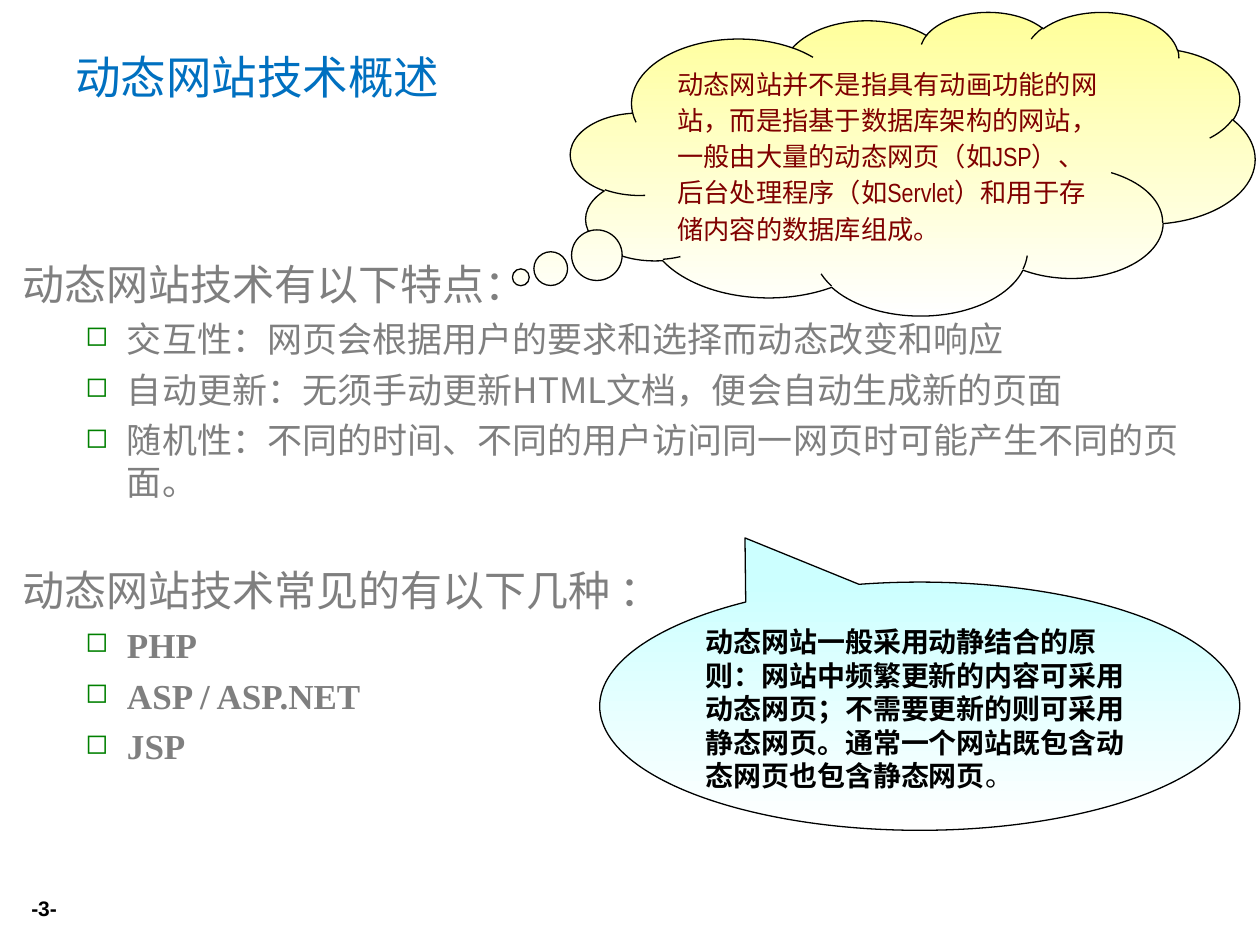
"""Build a slide on dynamic website technology with two callouts."""
from dataclasses import dataclass

from lxml.etree import SubElement
from pptx import Presentation
from pptx.dml.color import RGBColor
from pptx.enum.shapes import MSO_SHAPE
from pptx.enum.text import MSO_ANCHOR, PP_ALIGN
from pptx.oxml.ns import qn
from pptx.util import Inches, Pt


@dataclass(frozen=True)
class Theme:
    """Colours, fonts and type sizes of the slide."""
    title: str = "0070C0"
    body: str = "7F7F7F"
    bullet: str = "008000"
    cloud_text: str = "800000"
    ink: str = "000000"
    cloud_top: str = "FFFF99"
    ellipse_top: str = "CCFFFF"
    paper: str = "FFFFFF"
    cjk: str = "Noto Sans CJK SC"
    serif: str = "Times New Roman"
    sans: str = "Arial"
    narrow: str = "Arial Narrow"
    title_size: int = 26
    heading_size: int = 24
    item_size: int = 20
    cloud_size: int = 15
    ellipse_size: int = 16
    number_size: int = 12


THEME = Theme()
WIDTH, HEIGHT = 10, 7.5

TITLE = "动态网站技术概述"
SECTIONS = [
    ("动态网站技术有以下特点：", [
        "交互性：网页会根据用户的要求和选择而动态改变和响应",
        "自动更新：无须手动更新HTML文档，便会自动生成新的页面",
        "随机性：不同的时间、不同的用户访问同一网页时可能产生不同的页面。",
    ], {"name": THEME.cjk, "bold": False}),
    ("动态网站技术常见的有以下几种 ：", ["PHP", "ASP / ASP.NET", "JSP"],
     {"name": THEME.serif, "bold": True}),
]
NUMBER = "-3-"
CLOUD = [("动态网站并不是指具有动画功能的网站，而是指基于数据库架构的网站，"
          "一般由大量的动态网页（如JSP）、后台处理程序（如Servlet）"
          "和用于存储内容的数据库组成。", False)]
ELLIPSE = [("动态网站一般采用动静结合的原则：网站中频繁更新的内容可采用动态网页；"
            "不需要更新的则可采用静态网页。通常一个网站既包含动态网页也包含静态网页", True),
           ("。", False)]

PERCENT = {
    "title": (5, 4, 90, 8.13),
    "body": (0.8, 26.67, 98.4, 65.33),
    "number": (-1.6, 94.13, 7.1, 3.87),
    "cloud": (45.3, 1.2, 54.3, 32.13),
    "ellipse": (47.6, 61.6, 50.8, 26.27),
}
CALLOUTS = [
    ("cloud", MSO_SHAPE.CLOUD_CALLOUT, (-0.573, 0.376), THEME.cloud_top, CLOUD,
     {"name": THEME.narrow, "color": THEME.cloud_text, "size": THEME.cloud_size},
     {"line_spacing": 1.15}, {"margin_right": Inches(0.05)}),
    ("ellipse", MSO_SHAPE.OVAL_CALLOUT, (-0.273, -0.678), THEME.ellipse_top, ELLIPSE,
     {"name": THEME.sans, "color": THEME.ink, "size": THEME.ellipse_size}, {}, {}),
]


def place(name):
    left, top, width, height = PERCENT[name]
    return [Inches(share * side / 100) for share, side in
            ((left, WIDTH), (top, HEIGHT), (width, WIDTH), (height, HEIGHT))]


def apply(target, values):
    for name, value in values.items():
        setattr(target, name, value)


def write(paragraph, text, size, color, **values):
    paragraph._p.get_or_add_pPr().set("hangingPunct", "0")
    run = paragraph.add_run()
    run.text = text
    run.font.color.rgb = RGBColor.from_string(color)
    apply(run.font, {"size": Pt(size), **values})
    SubElement(run.font._element, qn("a:ea"), typeface=THEME.cjk)


def add_bullet(paragraph):
    properties = paragraph._p.get_or_add_pPr()
    properties.set("marL", str(Inches(0.83)))
    properties.set("indent", str(Inches(-0.33)))
    color = SubElement(properties, qn("a:buClr"))
    SubElement(color, qn("a:srgbClr"), val=THEME.bullet)
    SubElement(properties, qn("a:buSzPct"), val="80000")
    SubElement(properties, qn("a:buChar"), char="◻")


def add_text_frame(slide, name, anchor):
    frame = slide.shapes.add_textbox(*place(name)).text_frame
    apply(frame, {"word_wrap": True, "vertical_anchor": anchor})
    return frame


def add_body(slide):
    frame = add_text_frame(slide, "body", MSO_ANCHOR.TOP)
    for index, (heading, items, item_font) in enumerate(SECTIONS):
        paragraph = frame.add_paragraph() if index else frame.paragraphs[0]
        paragraph.space_before = Pt(35 if index else 0)
        write(paragraph, heading, THEME.heading_size, THEME.body, name=THEME.cjk)
        for item in items:
            paragraph = frame.add_paragraph()
            add_bullet(paragraph)
            paragraph.space_before = Pt(5)
            write(paragraph, item, THEME.item_size, THEME.body, **item_font)


def add_callout(slide, name, kind, pointer, top_color, runs, font, spacing, margins):
    shape = slide.shapes.add_shape(kind, *place(name))
    shape.shadow.inherit = False
    for index, value in enumerate(pointer):
        shape.adjustments[index] = value
    shape.fill.gradient()
    shape.fill.gradient_angle = 270
    for stop, color in zip(shape.fill.gradient_stops, (top_color, THEME.paper)):
        stop.color.rgb = RGBColor.from_string(color)
    shape.line.color.rgb = RGBColor.from_string(THEME.ink)
    shape.line.width = Pt(0.75)
    apply(shape.text_frame,
          {"word_wrap": True, "vertical_anchor": MSO_ANCHOR.TOP, **margins})
    paragraph = shape.text_frame.paragraphs[0]
    apply(paragraph, {"alignment": PP_ALIGN.LEFT, **spacing})
    for text, bold in runs:
        write(paragraph, text, bold=bold, **font)


def main():
    presentation = Presentation()
    apply(presentation, {"slide_width": Inches(WIDTH), "slide_height": Inches(HEIGHT)})
    slide = presentation.slides.add_slide(presentation.slide_layouts[6])
    title = add_text_frame(slide, "title", MSO_ANCHOR.MIDDLE).paragraphs[0]
    write(title, TITLE, THEME.title_size, THEME.title, name=THEME.cjk)
    add_body(slide)
    number = add_text_frame(slide, "number", MSO_ANCHOR.MIDDLE).paragraphs[0]
    number.alignment = PP_ALIGN.RIGHT
    write(number, NUMBER, THEME.number_size, THEME.ink, name=THEME.sans, bold=True)
    for callout in CALLOUTS:
        add_callout(slide, *callout)
    presentation.save("out.pptx")


if __name__ == "__main__":
    main()
